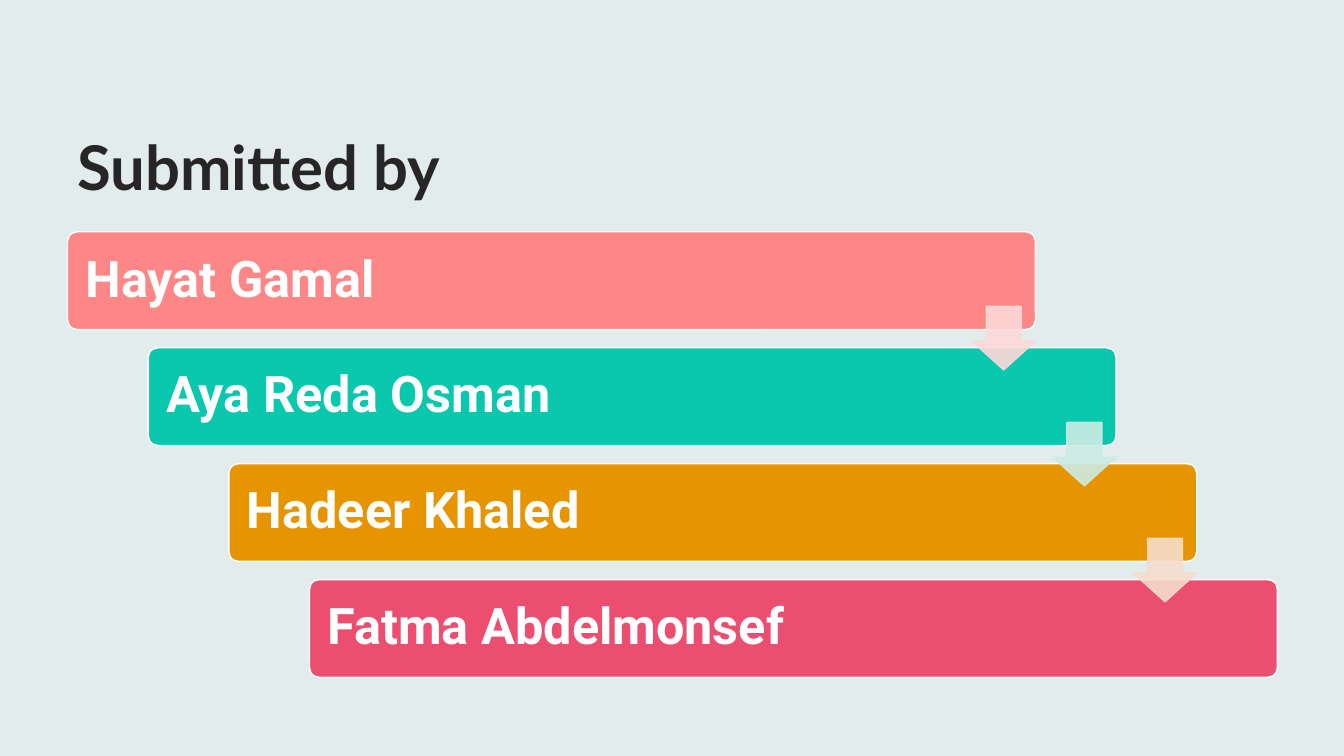
import pptx
import pptx.dml.color
import pptx.enum.shapes
import pptx.enum.text
import pptx.oxml.ns
import pptx.util
from lxml import etree

Inches = pptx.util.Inches
Pt = pptx.util.Pt
RGBColor = pptx.dml.color.RGBColor
MSO_SHAPE = pptx.enum.shapes.MSO_SHAPE
MSO_ANCHOR = pptx.enum.text.MSO_ANCHOR
PP_ALIGN = pptx.enum.text.PP_ALIGN
qn = pptx.oxml.ns.qn

BACKGROUND = RGBColor(0xE3, 0xEC, 0xEC)
INK = RGBColor(0x26, 0x26, 0x26)
WHITE = RGBColor(0xFF, 0xFF, 0xFF)
CORAL = RGBColor(0xFD, 0x86, 0x86)
TEAL = RGBColor(0x0A, 0xC8, 0xAD)
AMBER = RGBColor(0xE6, 0x95, 0x00)
ROSE = RGBColor(0xEC, 0x4E, 0x70)
PALE_CORAL = RGBColor(0xFE, 0xD9, 0xD9)
PALE_TEAL = RGBColor(0xCC, 0xEB, 0xE3)
PALE_AMBER = RGBColor(0xF5, 0xDD, 0xCC)

# Name, bar colour, colour of the arrow to the next bar
STEPS = [
    ("Hayat Gamal", CORAL, PALE_CORAL),
    ("Aya Reda Osman", TEAL, PALE_TEAL),
    ("Hadeer Khaled", AMBER, PALE_AMBER),
    ("Fatma Abdelmonsef", ROSE, None),
]
BAR_WIDTH, BAR_HEIGHT = 9.6, 0.97
ARROW_SIZE, ARROW_DROP = 0.63, 0.74


def add_span(para, text, font, size, color):
    span = para.add_run()
    span.text = text
    span.font.name = font
    span.font.size = Pt(size)
    span.font.bold = True
    span.font.color.rgb = color


def set_opacity(fill, color, percent):
    fill.solid()
    fill.fore_color.rgb = color
    return str(percent * 1000)


def add_filled_shape(page, preset, left, top, width, height, fill, line):
    shape = page.shapes.add_shape(
        preset, Inches(left), Inches(top), Inches(width), Inches(height))
    shape.shadow.inherit = False
    shape.fill.solid()
    shape.fill.fore_color.rgb = fill
    shape.line.color.rgb = line
    shape.line.width = Pt(1)
    return shape


def add_title(page, left, top, width, height):
    box = page.shapes.add_textbox(
        Inches(left), Inches(top), Inches(width), Inches(height))
    box.text_frame.word_wrap = True
    box.text_frame.vertical_anchor = MSO_ANCHOR.BOTTOM
    add_span(box.text_frame.paragraphs[0], "Submitted by", "Lato", 44, INK)


def add_bar(page, left, top, name, color):
    bar = add_filled_shape(page, MSO_SHAPE.ROUNDED_RECTANGLE, left, top,
                           BAR_WIDTH, BAR_HEIGHT, color, WHITE)
    bar.adjustments[0] = 0.1
    frame = bar.text_frame
    frame.word_wrap = True
    frame.vertical_anchor = MSO_ANCHOR.MIDDLE
    frame.margin_left = frame.margin_right = Inches(0.15)
    frame.margin_top = frame.margin_bottom = Inches(0.15)
    para = frame.paragraphs[0]
    para.alignment = PP_ALIGN.LEFT
    para.line_spacing = 0.9
    add_span(para, name, "Roboto", 36, WHITE)


def add_arrow(page, left, top, color):
    arrow = add_filled_shape(page, MSO_SHAPE.DOWN_ARROW, left, top,
                             ARROW_SIZE, ARROW_SIZE, color, color)
    arrow.adjustments[0] = 0.55
    arrow.adjustments[1] = 0.45
    # Fill and outline are both 90% opaque
    for shade in arrow.fill._xPr.iter(qn("a:srgbClr")):
        etree.SubElement(shade, qn("a:alpha"), val="90000")


def add_staircase(page, left, top, width, height):
    gaps = len(STEPS) - 1
    step_x = (width - BAR_WIDTH) / gaps
    step_y = (height - BAR_HEIGHT) / gaps
    places = [(left + i * step_x, top + i * step_y) for i in range(len(STEPS))]
    for (x, y), (name, color, _) in zip(places, STEPS):
        add_bar(page, x, y, name, color)
    # Each arrow is flush with the right end of its bar
    for (x, y), (_, _, pale) in zip(places[:-1], STEPS):
        add_arrow(page, x + BAR_WIDTH - ARROW_SIZE, y + ARROW_DROP, pale)


def main():
    deck = pptx.Presentation()
    deck.slide_width = Inches(13.33)
    deck.slide_height = Inches(7.5)
    page = deck.slides.add_slide(deck.slide_layouts[6])
    page.background.fill.solid()
    page.background.fill.fore_color.rgb = BACKGROUND
    add_title(page, 0.67, 0.61, 12, 1.45)
    add_staircase(page, 0.67, 2.3, 12, 4.42)
    deck.save("out.pptx")


if __name__ == "__main__":
    main()
